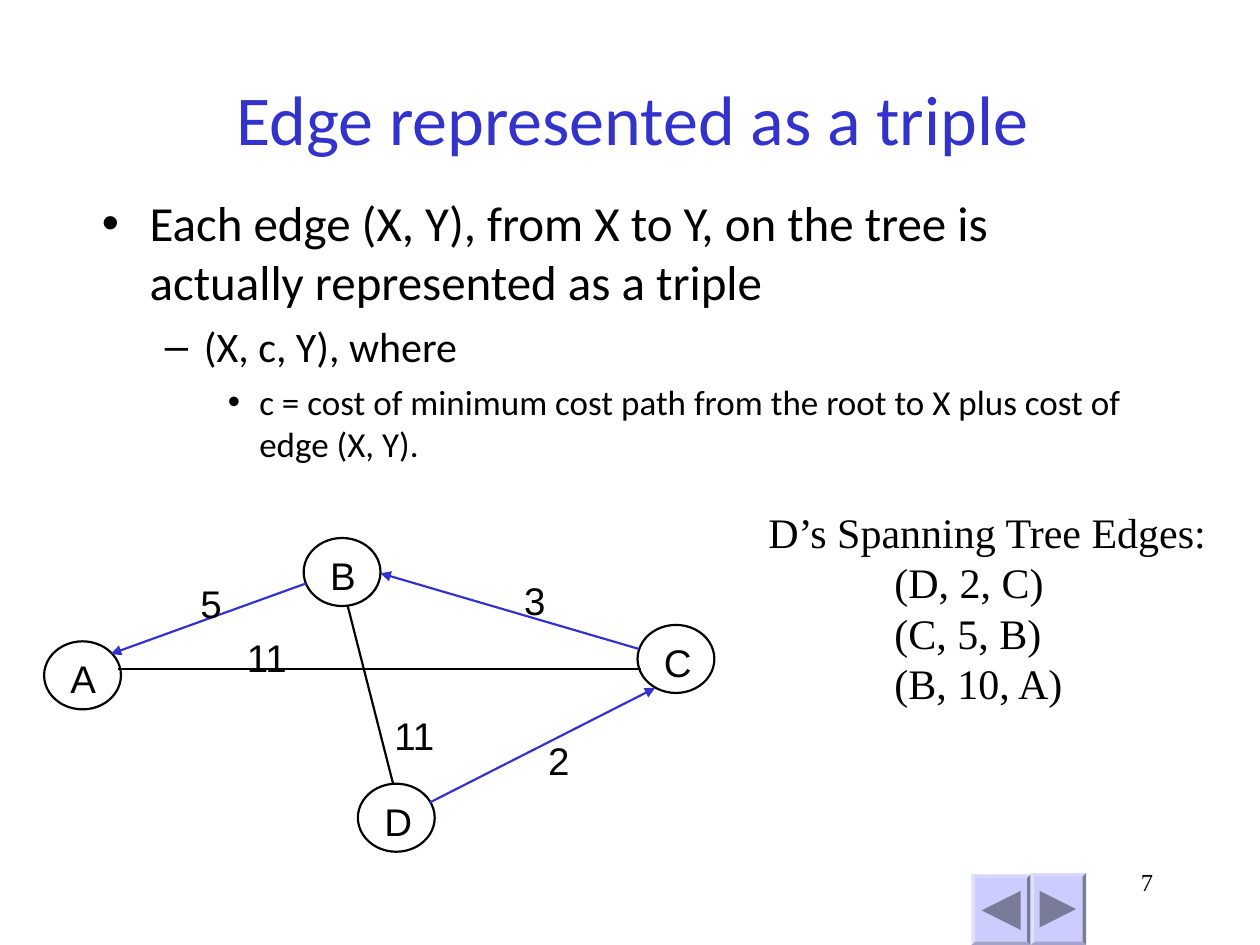
from pptx import Presentation
from pptx.util import Inches, Pt
from pptx.dml.color import RGBColor
from pptx.enum.shapes import MSO_SHAPE as Shape, MSO_CONNECTOR as Conn
from pptx.enum.text import PP_ALIGN as Align, MSO_ANCHOR as Anchor
from pptx.oxml.ns import qn
from lxml.etree import SubElement

BLACK = RGBColor(0x00, 0x00, 0x00)
BLUE = RGBColor(0x33, 0x33, 0xCC)
LILAC = RGBColor(0xCC, 0xCC, 0xFF)
GREY = RGBColor(0x7A, 0x7A, 0x99)
SANS, SERIF, PLAIN = "Calibri", "Times New Roman", "Arial"

TITLE = "Edge represented as a triple"
# text, size, left margin, hanging indent, space before, bullet
BODY = [
    ("Each edge (X, Y), from X to Y, on the tree is actually represented as a triple",
     28, 0.38, 0.38, 7, "•"),
    ("(X, c, Y), where", 24, 0.81, 0.31, 6, "–"),
    ("c = cost of minimum cost path from the root to X plus cost of edge (X, Y).",
     20, 1.25, 0.25, 5, "•"),
]
TREE_HEAD = "D’s Spanning Tree Edges:"
TREE = ["(D, 2, C)", "(C, 5, B)", "(B, 10, A)"]

# Node name: left and top of its ring
NODES = {"A": (0.35, 5.09), "B": (2.41, 4.27), "C": (5.06, 4.96), "D": (2.84, 6.22)}
RING_W, RING_H = 0.61, 0.54
# start, end, cost, left and top of the cost, whether on the tree
EDGES = [
    ((2.43, 4.63), (0.88, 5.19), "5", (1.59, 4.6), True),
    ((5.07, 5.15), (3.02, 4.55), "3", (4.16, 4.58), True),
    ((0.94, 5.31), (5.09, 5.31), "11", (1.96, 5.03), False),
    ((2.76, 4.81), (3.12, 6.22), "11", (3.13, 5.65), False),
    ((3.41, 6.37), (5.2, 5.46), "2", (4.35, 5.85), True),
]
# button box, arrow left, top and side, turn
BUTTONS = [
    ((7.71, 6.94, 0.47, 0.56), (7.79, 7.07, 0.31), -90),
    ((8.18, 6.93, 0.44, 0.57), (8.25, 7.07, 0.29), 90),
]

prs = Presentation()
prs.slide_width, prs.slide_height = Inches(10), Inches(7.5)
slide = prs.slides.add_slide(prs.slide_layouts[6])
shapes = slide.shapes


def add_box(x, y, w, h, wrap=True, pad=True):
    frame = shapes.add_textbox(Inches(x), Inches(y), Inches(w), Inches(h)).text_frame
    frame.word_wrap = wrap
    if not pad:
        frame.margin_left = frame.margin_right = 0
        frame.margin_top = frame.margin_bottom = 0
    return frame


def add_run(para, text, size, font, color=BLACK):
    run = para.add_run()
    run.text = text
    run.font.size, run.font.name = Pt(size), font
    run.font.color.rgb = color


def indent(para, left, hang=0):
    props = para._p.get_or_add_pPr()
    props.set("marL", str(Inches(left)))
    props.set("indent", str(-Inches(hang)))
    return props


def add_label(text, x, y):
    frame = add_box(x, y, 0.17 * len(text), 0.37, wrap=False, pad=False)
    add_run(frame.paragraphs[0], text, 22, PLAIN)


def add_solid(kind, x, y, w, h, color):
    solid = shapes.add_shape(kind, Inches(x), Inches(y), Inches(w), Inches(h))
    solid.shadow.inherit = False
    solid.fill.solid()
    solid.fill.fore_color.rgb = color
    solid.line.fill.background()
    return solid


# Navigation buttons
for box, (x, y, side), turn in BUTTONS:
    add_solid(Shape.BEVEL, *box, LILAC).adjustments[0] = 0.06
    add_solid(Shape.ISOSCELES_TRIANGLE, x, y, side, side, GREY).rotation = turn

# Slide number
para = add_box(7.17, 6.83, 2.08, 0.5).paragraphs[0]
para.alignment = Align.RIGHT
add_run(para, "7", 14, SERIF)

# Title
frame = add_box(0.77, 0.31, 8.5, 1.25)
frame.vertical_anchor = Anchor.MIDDLE
frame.paragraphs[0].alignment = Align.CENTER
add_run(frame.paragraphs[0], TITLE, 40, SANS, BLUE)

# Bulleted body
frame = add_box(0.71, 1.48, 8.5, 2.32)
for i, (text, size, left, hang, before, mark) in enumerate(BODY):
    para = frame.add_paragraph() if i else frame.paragraphs[0]
    para.level = i
    para.space_before = Pt(before)
    props = indent(para, left, hang)
    SubElement(props, qn("a:buFont")).set("typeface", PLAIN)
    SubElement(props, qn("a:buChar")).set("char", mark)
    add_run(para, text, size, SANS)

# Graph nodes
for name, (x, y) in NODES.items():
    ring = shapes.add_shape(Shape.OVAL, Inches(x), Inches(y), Inches(RING_W), Inches(RING_H))
    ring.shadow.inherit = False
    ring.fill.background()
    ring.line.color.rgb, ring.line.width = BLACK, Pt(1.25)
    add_label(name, x + 0.21, y + 0.11)

# Graph edges and costs
for start, end, cost, spot, on_tree in EDGES:
    edge = shapes.add_connector(Conn.STRAIGHT, *map(Inches, start + end))
    edge.line.color.rgb = BLUE if on_tree else BLACK
    edge.line.width = Pt(1.25)
    if on_tree:
        SubElement(edge.line._get_or_add_ln(), qn("a:tailEnd")).set("type", "triangle")
    SubElement(edge._element.spPr, qn("a:effectLst"))
    add_label(cost, *spot)

# Spanning tree list
frame = add_box(6, 3.97, 3.71, 1.7, wrap=False)
add_run(frame.paragraphs[0], TREE_HEAD, 24, SERIF)
for text in TREE:
    para = frame.add_paragraph()
    indent(para, 1)
    add_run(para, text, 24, SERIF)

prs.save("out.pptx")
